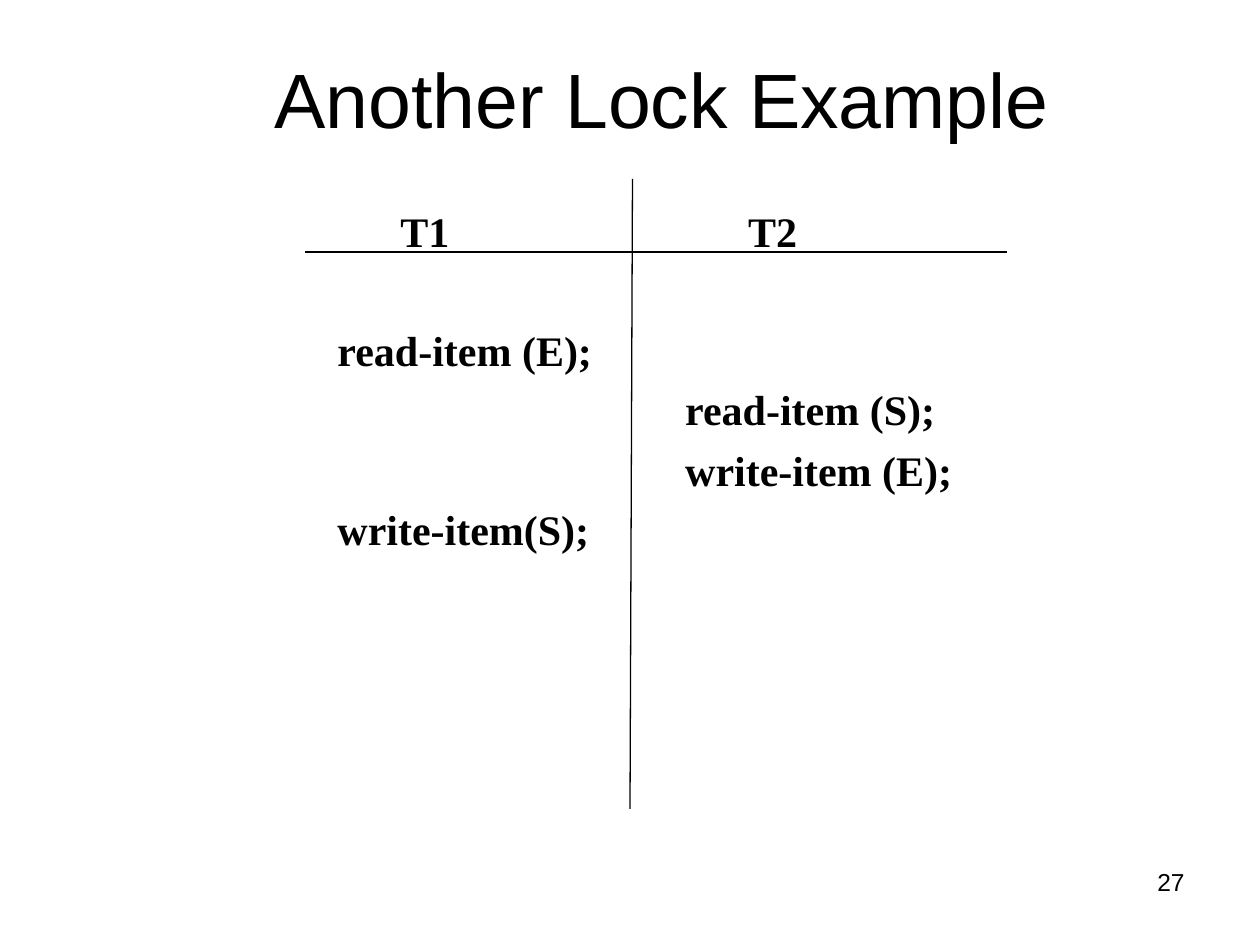
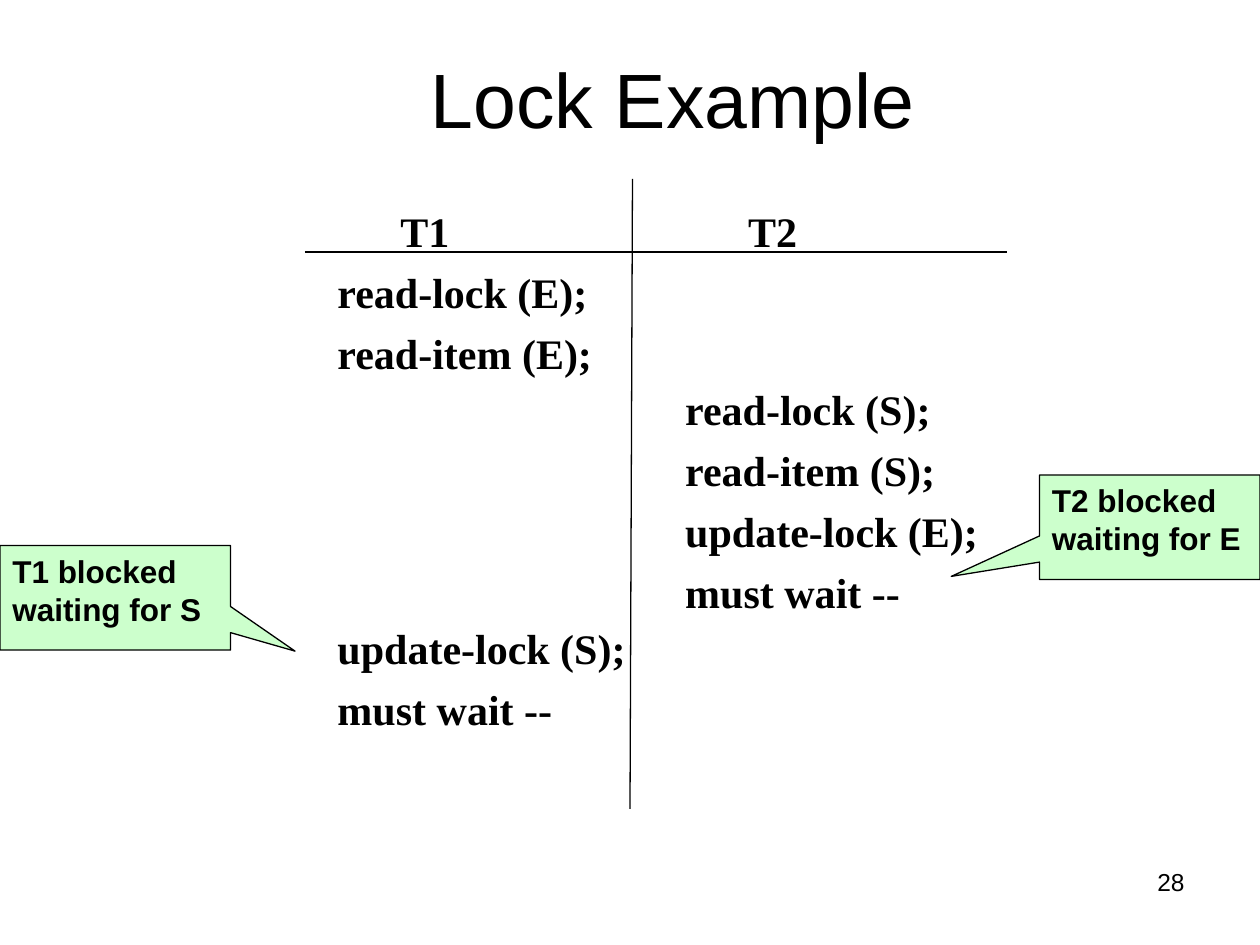
from dataclasses import dataclass

from lxml.etree import SubElement
from pptx import Presentation
from pptx.dml.color import RGBColor
from pptx.enum.shapes import MSO_CONNECTOR as CONNECTOR, MSO_SHAPE as SHAPE
from pptx.enum.text import MSO_ANCHOR as ANCHOR, PP_ALIGN as ALIGN
from pptx.oxml.ns import qn
from pptx.util import Inches, Pt

# Each transaction maps a schedule row to the step it runs there.
SLIDES = [
    {
        "number": 27,
        "title": "Another Lock Example",
        "title_shift": 0.51,
        "transactions": {
            "T1": {2: "read-item (E);", 5: "write-item(S);"},
            "T2": {3: "read-item (S);", 4: "write-item (E);"},
        },
        "callouts": [],
    },
    {
        "number": 28,
        "title": "Lock Example",
        "title_shift": 0.68,
        "transactions": {
            "T1": {1: "read-lock (E);", 2: "read-item (E);",
                   7: "update-lock (S);", 8: "must wait --"},
            "T2": {3: "read-lock (S);", 4: "read-item (S);",
                   5: "update-lock (E);", 6: "must wait --"},
        },
        "callouts": [
            ("T1 blocked waiting for S", (0, 4.33, 1.83, 0.83), (0.78, 0.51)),
            ("T2 blocked waiting for E", (8.25, 3.77, 1.75, 0.83), (-0.9, 0.47)),
        ],
    },
]


@dataclass(frozen=True)
class Theme:
    ink: RGBColor = RGBColor(0, 0, 0)
    callout: RGBColor = RGBColor(0xCC, 0xFF, 0xCC)
    sans: str = "Arial"
    serif: str = "Times New Roman"
    title: int = 44
    step: int = 24
    note: int = 18
    number: int = 14
    rule: float = 0.75


THEME = Theme()
TITLE_BOX = (0.5, 0.3, 9, 1.25)
NUMBER_BOX = (7.17, 6.83, 2.33, 0.52)
COLUMN_BOXES = [(2.58, 1.58, 2.79, 4.77), (5.34, 1.58, 2.73, 4.75)]
RULES = [((2.42, 2), (7.99, 2)), ((5.02, 1.42), (5, 6.42))]
HEADER_INDENT = 0.5
STEP_GAP = 6        # points between neighbouring rows
ROW_PITCH = 33.57   # points from one row to the next


def inches(values):
    return [Inches(value) for value in values]


def write(frame, text, *, size, font=THEME.sans, bold=False, align=ALIGN.LEFT,
          before=0, indent=0, new=False):
    """Fill the first paragraph of the frame, or a new one."""
    paragraph = frame.add_paragraph() if new else frame.paragraphs[0]
    paragraph.alignment = align
    paragraph.space_before = Pt(before)
    if indent:
        paragraph._p.get_or_add_pPr().set("marL", str(Inches(indent)))
    run = paragraph.add_run()
    run.text = text
    run.font.name = font
    run.font.size = Pt(size)
    run.font.bold = bold
    run.font.color.rgb = THEME.ink


def add_frame(slide, box):
    frame = slide.shapes.add_textbox(*inches(box)).text_frame
    frame.word_wrap = True
    return frame


def add_title(slide, title, shift):
    frame = add_frame(slide, TITLE_BOX)
    frame.margin_left = Inches(0.1 + shift)
    frame.margin_top = Inches(0.11)
    write(frame, title, size=THEME.title, align=ALIGN.CENTER)


def add_transaction(slide, box, name, steps):
    """Write a column, turning skipped rows into spacing."""
    frame = add_frame(slide, box)
    style = dict(size=THEME.step, font=THEME.serif, bold=True)
    write(frame, name, before=STEP_GAP, indent=HEADER_INDENT, **style)
    previous = 0
    for row, step in steps.items():
        skipped = row - previous - 1
        write(frame, step, before=STEP_GAP + skipped * ROW_PITCH, new=True, **style)
        previous = row


def add_rule(slide, start, end):
    rule = slide.shapes.add_connector(CONNECTOR.STRAIGHT, *inches(start + end))
    rule.line.color.rgb = THEME.ink
    rule.line.width = Pt(THEME.rule)
    SubElement(rule._element.spPr, qn("a:effectLst"))


def add_callout(slide, note, box, tip):
    callout = slide.shapes.add_shape(SHAPE.RECTANGULAR_CALLOUT, *inches(box))
    callout.shadow.inherit = False
    callout.adjustments[0], callout.adjustments[1] = tip
    callout.fill.solid()
    callout.fill.fore_color.rgb = THEME.callout
    callout.line.color.rgb = THEME.ink
    callout.line.width = Pt(THEME.rule)
    frame = callout.text_frame
    frame.word_wrap = True
    frame.vertical_anchor = ANCHOR.TOP
    write(frame, note, size=THEME.note, bold=True)


def build_slide(deck, content):
    slide = deck.slides.add_slide(deck.slide_layouts[6])
    write(add_frame(slide, NUMBER_BOX), str(content["number"]),
          size=THEME.number, align=ALIGN.RIGHT)
    add_title(slide, content["title"], content["title_shift"])
    for box, (name, steps) in zip(COLUMN_BOXES, content["transactions"].items()):
        add_transaction(slide, box, name, steps)
    for start, end in RULES:
        add_rule(slide, start, end)
    for note, box, tip in content["callouts"]:
        add_callout(slide, note, box, tip)


def main():
    deck = Presentation()
    deck.slide_width, deck.slide_height = inches((10, 7.5))
    for content in SLIDES:
        build_slide(deck, content)
    deck.save("out.pptx")


if __name__ == "__main__":
    main()
